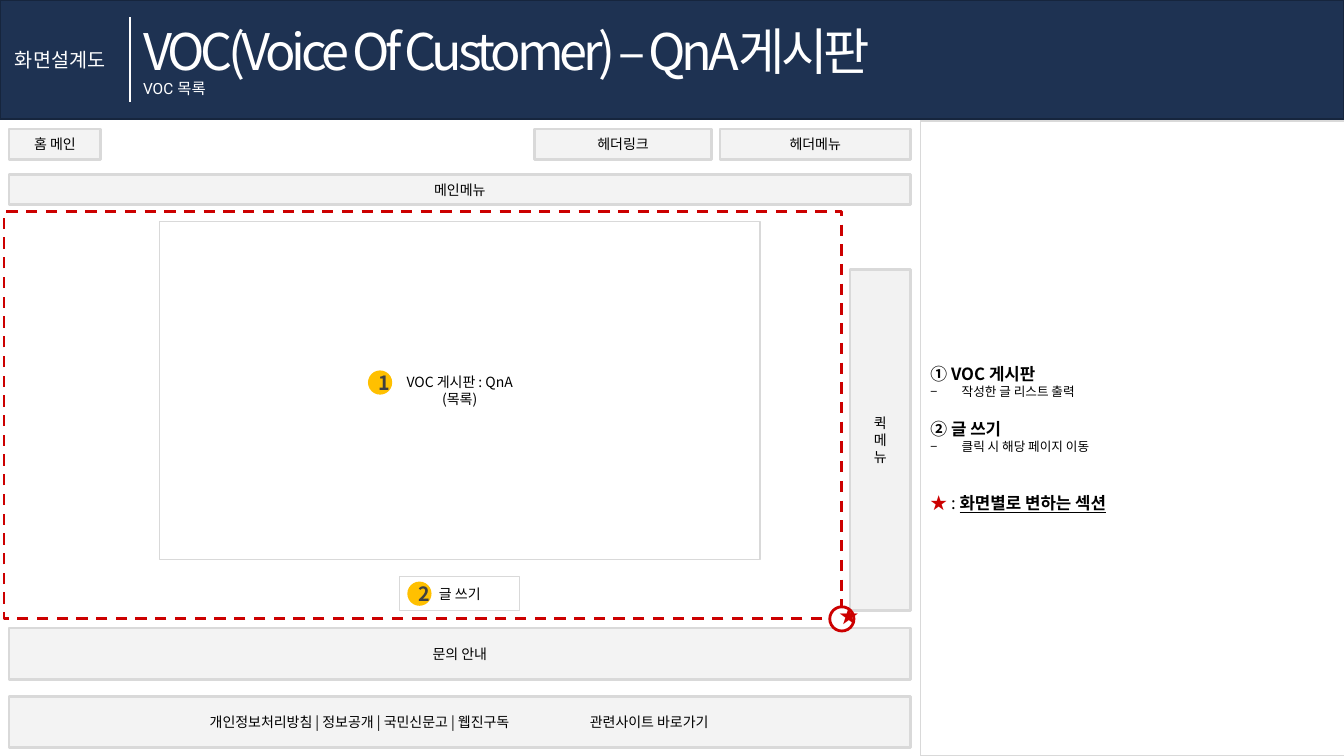
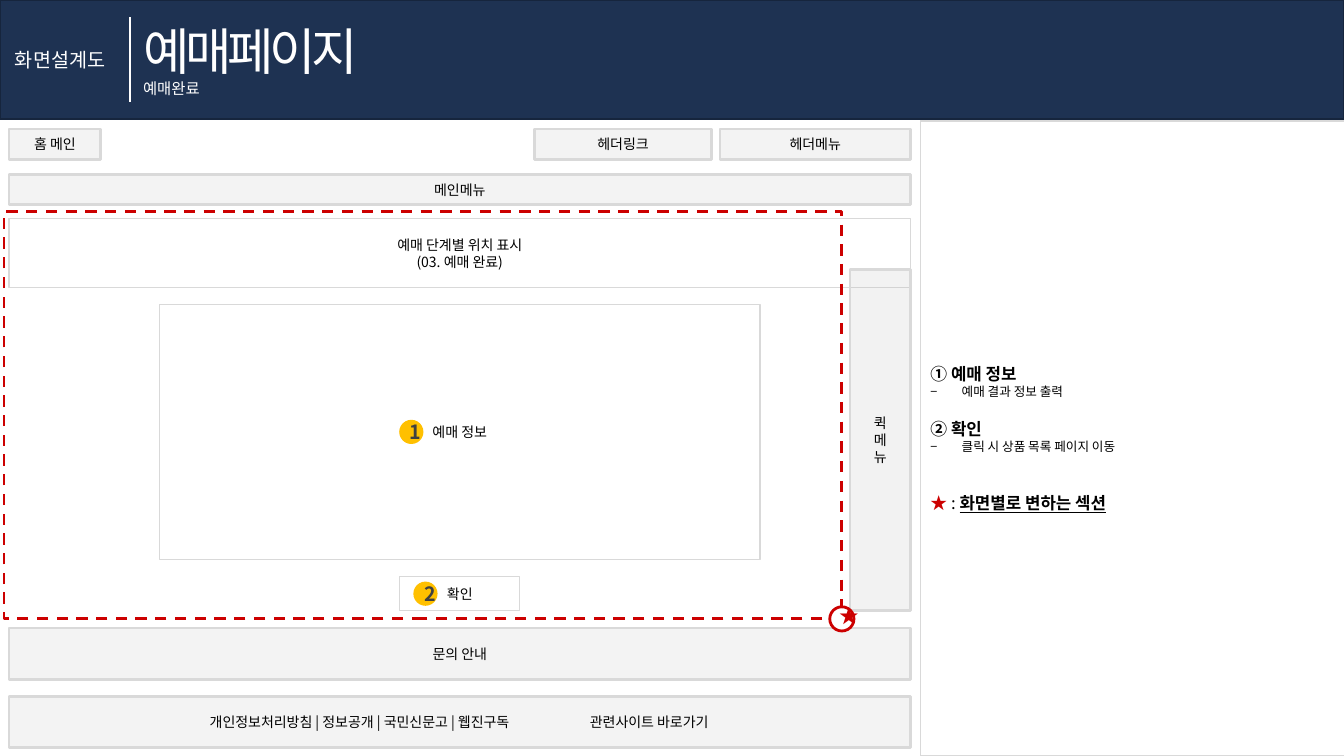
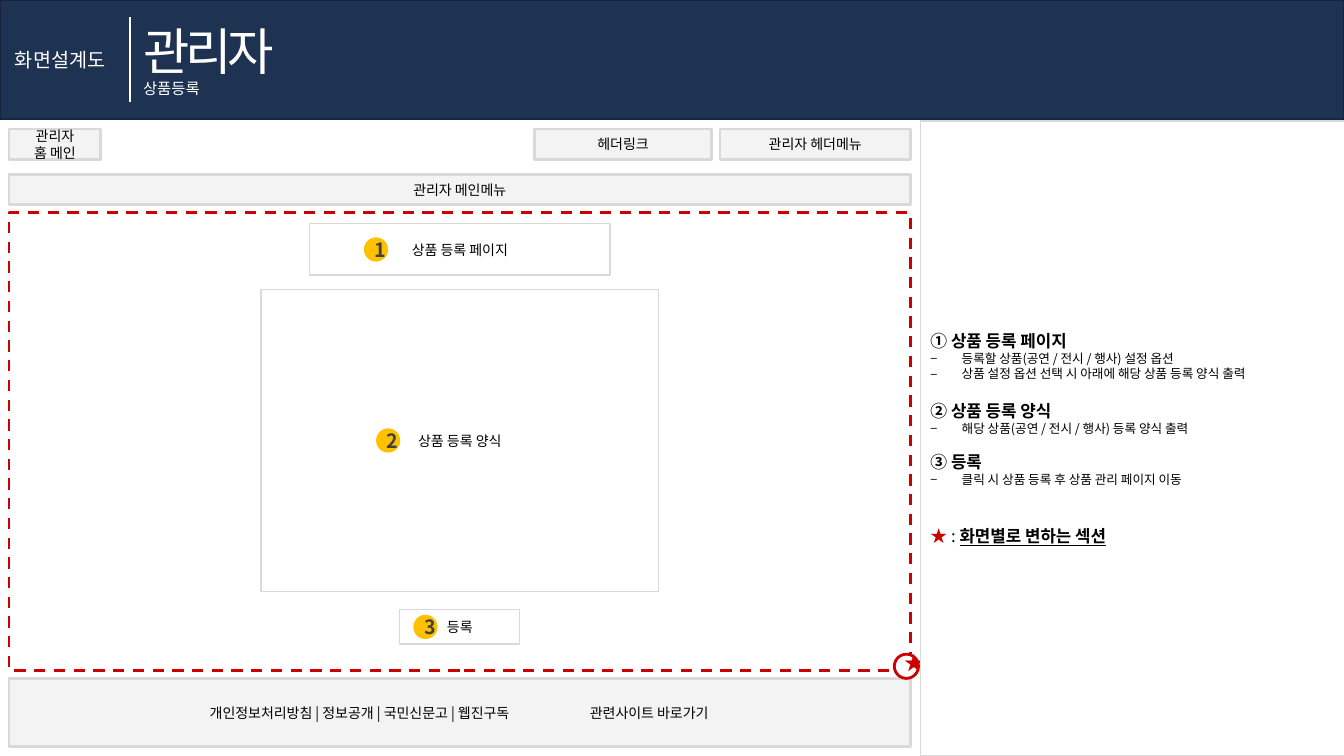
import dataclasses

import pptx
import pptx.dml.color
import pptx.enum.dml
import pptx.enum.shapes
import pptx.enum.text
import pptx.oxml.ns
import pptx.util
from lxml import etree

RGB = pptx.dml.color.RGBColor
SHAPES = pptx.enum.shapes.MSO_SHAPE
ALIGN = pptx.enum.text.PP_ALIGN
ANCHOR = pptx.enum.text.MSO_ANCHOR
DASH = pptx.enum.dml.MSO_LINE.DASH
Inches = pptx.util.Inches
Pt = pptx.util.Pt
qn = pptx.oxml.ns.qn

NAVY = RGB(0x1E, 0x32, 0x52)
DARK_NAVY = RGB(0x16, 0x25, 0x3D)
WHITE = RGB(0xFF, 0xFF, 0xFF)
BLACK = RGB(0, 0, 0)
GRAY = RGB(0xD9, 0xD9, 0xD9)
MID_GRAY = RGB(0xBF, 0xBF, 0xBF)
INK = RGB(0x40, 0x40, 0x40)
RED = RGB(0xCC, 0, 0)
AMBER = RGB(0xFF, 0xC0, 0)

FONT = "Noto Sans CJK KR"
SUBTITLE_FONT = "Roboto"
LEADING = 1.2

# Page grid, in inches
PAGE_WIDTH, PAGE_HEIGHT = 13.33, 7.5
HEADER_HEIGHT = 1.18
LEFT, CONTENT_WIDTH = 0.09, 8.94
RIGHT = LEFT + CONTENT_WIDTH
CENTER = LEFT + CONTENT_WIDTH / 2
BAR_TOP, BAR_HEIGHT = 1.28, 0.3
PANEL_LEFT, PANEL_TOP, PANEL_WIDTH = 9.13, 1.2, 4.22
MARK = 0.24
BUTTON_WIDTH, BUTTON_HEIGHT = 1.19, 0.34
FOOTER_LINKS = "개인정보처리방침 | 정보공개 | 국민신문고 | 웹진구독\t관련사이트 바로가기"


@dataclasses.dataclass
class Block:
    """A white box centred in the content column, with its number mark."""
    text: str
    top: float
    width: float
    height: float
    number: str = ""
    mark_left: float = 0


@dataclasses.dataclass
class Note:
    heading: str
    details: list
    gap: float = 14


def add_span(para, text, size=10, color=BLACK, bold=False, underline=False,
             font=FONT, spacing=None):
    span = para.add_run()
    span.text = text
    span.font.size = Pt(size)
    span.font.bold = bold
    span.font.underline = underline
    span.font.color.rgb = color
    span.font.name = font
    properties = span.font._element
    etree.SubElement(properties, qn("a:ea"), typeface=FONT)
    if spacing:
        properties.set("spc", str(spacing * 100))


def write(box, text, size=10, align=ALIGN.CENTER, **span_format):
    """Write each line of the text as one paragraph."""
    for index, line in enumerate(text.split("\n")):
        frame = box.text_frame
        para = frame.add_paragraph() if index else frame.paragraphs[0]
        para.alignment = align
        para.line_spacing = Pt(size * LEADING)
        add_span(para, line, size, **span_format)


def add_box(page, left, top, width, height, kind=SHAPES.RECTANGLE, fill=None,
            opacity=100, line=None, weight=1, dash=None):
    box = page.shapes.add_shape(kind, Inches(left), Inches(top),
                                Inches(width), Inches(height))
    box.shadow.inherit = False
    if fill is None:
        box.fill.background()
    else:
        box.fill.solid()
        box.fill.fore_color.rgb = fill
        if opacity < 100:
            color = box._element.spPr.find(qn("a:solidFill"))[0]
            etree.SubElement(color, qn("a:alpha"), val=str(opacity * 1000))
    if line is None:
        box.line.fill.background()
    else:
        box.line.color.rgb = line
        box.line.width = Pt(weight)
        if dash:
            box.line.dash_style = dash
    box.text_frame.word_wrap = True
    box.text_frame.vertical_anchor = ANCHOR.MIDDLE
    return box


def add_label(page, left, top, width, height, text, wrap=False, **text_format):
    label = page.shapes.add_textbox(Inches(left), Inches(top),
                                    Inches(width), Inches(height))
    label.text_frame.word_wrap = wrap
    write(label, text, **text_format)


def add_bar(page, left, top, width, height, text, fill=GRAY, opacity=30):
    bar = add_box(page, left, top, width, height, fill=fill, opacity=opacity,
                  line=GRAY, weight=2)
    write(bar, text)


def add_header(page, title, subtitle):
    add_box(page, 0, 0, PAGE_WIDTH, HEADER_HEIGHT, fill=NAVY, line=DARK_NAVY)
    add_label(page, 1.32, 0.15, 7.65, 0.71, title, size=36, color=WHITE,
              align=ALIGN.LEFT, spacing=-3)
    add_label(page, 0.05, 0.43, 1.18, 0.34, "화면설계도", size=14, color=WHITE,
              align=ALIGN.LEFT)
    add_label(page, 1.32, 0.74, 0.88, 0.29, subtitle, size=11, color=WHITE,
              align=ALIGN.LEFT, font=SUBTITLE_FONT)
    rule = page.shapes.add_connector(
        pptx.enum.shapes.MSO_CONNECTOR.STRAIGHT,
        Inches(1.29), Inches(0.17), Inches(1.29), Inches(1.01))
    rule.line.color.rgb = WHITE
    rule.line.width = Pt(1.5)
    etree.SubElement(rule._element.spPr, qn("a:effectLst"))


def add_navigation(page, home, menu, main_menu):
    add_bar(page, LEFT, BAR_TOP, 0.91, BAR_HEIGHT, home)
    add_bar(page, 5.3, BAR_TOP, 1.76, BAR_HEIGHT, "헤더링크")
    add_bar(page, RIGHT - 1.89, BAR_TOP, 1.89, BAR_HEIGHT, menu)
    add_bar(page, LEFT, 1.73, CONTENT_WIDTH, BAR_HEIGHT, main_menu)


def add_footer(page, top, height):
    footer = add_box(page, LEFT, top, CONTENT_WIDTH, height, fill=GRAY,
                     opacity=30, line=GRAY, weight=2)
    footer.text_frame.margin_left = Inches(1.99)
    write(footer, FOOTER_LINKS, align=ALIGN.LEFT)
    properties = footer.text_frame.paragraphs[0]._p.get_or_add_pPr()
    tabs = etree.SubElement(properties, qn("a:tabLst"))
    etree.SubElement(tabs, qn("a:tab"), pos=str(Inches(3.77)), algn="l")


def add_block(page, block):
    box = add_box(page, CENTER - block.width / 2, block.top, block.width,
                  block.height, fill=WHITE, line=GRAY)
    write(box, block.text)


def add_mark(page, block):
    """Put the number level with the first line of the block's text."""
    lift = 0.08 * block.text.count("\n")
    top = block.top + (block.height - MARK) / 2 - lift
    mark = add_box(page, block.mark_left, top, MARK, MARK, SHAPES.OVAL,
                   fill=AMBER)
    write(mark, block.number, size=14, color=INK, bold=True)


def add_changing_section(page, left, top, width, height, star_inset=0):
    add_box(page, left, top, width, height, line=RED, weight=2, dash=DASH)
    star_left = left + width - star_inset - MARK / 2
    star_top = top + height - star_inset - MARK / 2
    add_box(page, star_left, star_top, MARK, MARK, SHAPES.OVAL, fill=WHITE,
            line=RED, weight=2)
    add_label(page, star_left, star_top - 0.08, MARK, 0.34, "★", wrap=True,
              size=14, color=RED)


def add_dash_bullet(para):
    properties = para._p.get_or_add_pPr()
    properties.set("marL", str(Inches(0.31)))
    properties.set("indent", str(-Inches(0.31)))
    etree.SubElement(properties, qn("a:buFont"), typeface=FONT)
    etree.SubElement(properties, qn("a:buChar"), char="−")


def add_notes_panel(page, notes):
    panel = add_box(page, PANEL_LEFT, PANEL_TOP, PANEL_WIDTH,
                    PAGE_HEIGHT - PANEL_TOP, fill=WHITE, line=GRAY)
    frame = panel.text_frame

    def next_para(size, gap=0):
        first = frame.paragraphs[0]
        para = frame.add_paragraph() if first.runs else first
        para.alignment = ALIGN.LEFT
        para.line_spacing = Pt(size * LEADING)
        if gap and first.runs:
            para.space_before = Pt(gap)
        return para

    for note in notes:
        add_span(next_para(12, note.gap), note.heading, 12, bold=True)
        for detail in note.details:
            para = next_para(9)
            add_dash_bullet(para)
            add_span(para, detail, 9)
    legend = next_para(12, 28)
    add_span(legend, "★ ", 12, RED, bold=True)
    add_span(legend, ": ", 12)
    add_span(legend, "화면별로 변하는 섹션", 12, bold=True, underline=True)


def add_body(page, blocks, notes, section, star_inset=0, quick_menu=True):
    for block in blocks:
        add_block(page, block)
    if quick_menu:
        add_bar(page, RIGHT - 0.6, 2.67, 0.6, 3.39, "퀵\n메\n뉴",
                fill=MID_GRAY, opacity=20)
    add_changing_section(page, *section, star_inset=star_inset)
    add_notes_panel(page, notes)
    for block in blocks:
        if block.number:
            add_mark(page, block)


def build_customer_page(page, title, subtitle, blocks, notes):
    add_header(page, title, subtitle)
    add_navigation(page, "홈 메인", "헤더메뉴", "메인메뉴")
    add_bar(page, LEFT, 6.23, CONTENT_WIDTH, 0.51, "문의 안내")
    add_footer(page, 6.91, 0.51)
    add_body(page, blocks, notes, section=(0.04, 2.1, 8.31, 4.04))


def build_admin_page(page, title, subtitle, blocks, notes):
    add_header(page, title, subtitle)
    add_navigation(page, "관리자\n홈 메인", "관리자 헤더메뉴", "관리자 메인메뉴")
    add_footer(page, 6.73, 0.68)
    add_body(page, blocks, notes, section=(LEFT, 2.11, CONTENT_WIDTH, 4.54),
             star_inset=0.04, quick_menu=False)


def main():
    deck = pptx.Presentation()
    deck.slide_width = Inches(PAGE_WIDTH)
    deck.slide_height = Inches(PAGE_HEIGHT)
    blank = deck.slide_layouts[6]

    build_customer_page(
        deck.slides.add_slide(blank),
        "VOC(Voice Of Customer) – QnA게시판", "VOC 목록",
        [Block("VOC 게시판 : QnA\n(목록)", 2.2, 5.96, 3.35, "1", 3.65),
         Block("글 쓰기", 5.72, BUTTON_WIDTH, BUTTON_HEIGHT, "2", 4.04)],
        [Note("① VOC 게시판", ["작성한 글 리스트 출력"]),
         Note("② 글 쓰기", ["클릭 시 해당 페이지 이동"])])

    build_customer_page(
        deck.slides.add_slide(blank), "예매페이지", "예매완료",
        [Block("예매 단계별 위치 표시\n(03. 예매 완료)", 2.17, CONTENT_WIDTH, 0.68),
         Block("예매 정보", 3.02, 5.96, 2.53, "1", 3.96),
         Block("확인", 5.72, BUTTON_WIDTH, BUTTON_HEIGHT, "2", 4.1)],
        [Note("① 예매 정보", ["예매 결과 정보 출력"]),
         Note("② 확인", ["클릭 시 상품 목록 페이지 이동"])])

    build_admin_page(
        deck.slides.add_slide(blank), "관리자", "상품등록",
        [Block("상품 등록 페이지", 2.22, 2.98, 0.51, "1", 3.61),
         Block("상품 등록 양식", 2.87, 3.94, 3, "2", 3.73),
         Block("등록", 6.05, BUTTON_WIDTH, BUTTON_HEIGHT, "3", 4.1)],
        [Note("① 상품 등록 페이지",
              ["등록할 상품(공연 / 전시 / 행사) 설정 옵션",
               "상품 설정 옵션 선택 시 아래에 해당 상품 등록 양식 출력"]),
         Note("② 상품 등록 양식", ["해당 상품(공연 / 전시 / 행사) 등록 양식 출력"]),
         Note("③ 등록", ["클릭 시 상품 등록 후 상품 관리 페이지 이동"], gap=11)])

    deck.save("out.pptx")


if __name__ == "__main__":
    main()
